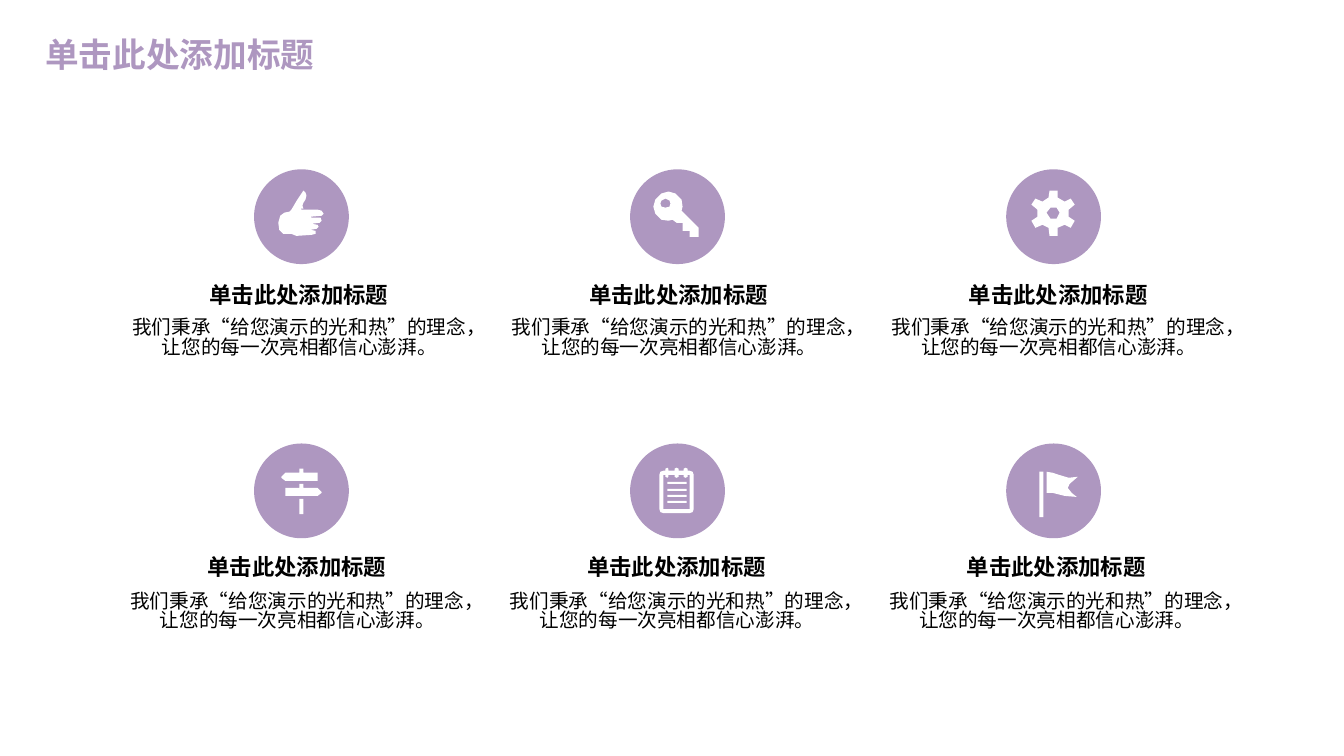
"""Build a slide with a title and six captioned icon discs."""
from lxml import etree
from pptx import Presentation
from pptx.dml import color
from pptx.enum import lang, shapes, text
from pptx.oxml import ns
from pptx.util import Inches, Pt

FONT = "Noto Sans CJK SC"
PURPLE, WHITE, BLACK = "AE97C0", "FFFFFF", "000000"
HEADING = "单击此处添加标题"
BODY = "我们秉承“给您演示的光和热”的理念，让您的每一次亮相都信心澎湃。"

# Outlines and bars are in hundredths of an inch from the disc's corner.
THUMB = [(57, 54), (65, 53), (67, 51), (66, 48), (57, 48), (56, 47), (67, 46),
         (69, 44), (67, 41), (63, 40), (47, 40), (46, 39), (49, 39), (48, 36),
         (49, 33), (51, 30), (52, 26), (51, 23), (49, 21), (43, 30), (37, 40),
         (35, 42), (30, 43), (26, 46), (24, 53), (25, 60), (29, 64), (37, 64),
         (42, 66), (57, 65), (61, 64), (61, 61), (56, 60), (62, 59), (64, 57),
         (63, 55)]
KEY = [(52, 37), (51, 30), (45, 24), (38, 22), (31, 24), (25, 30), (23, 37),
       (25, 44), (31, 50), (38, 51), (42, 50), (46, 53), (52, 53), (52, 61),
       (59, 61), (59, 67), (68, 67), (68, 58), (51, 41)]
KEY_HOLE = [(35, 38), (31, 37), (30, 34), (31, 31), (35, 29), (39, 31),
            (40, 34), (39, 37)]
GEAR = [(62, 40), (68, 35), (64, 29), (58, 32), (51, 28), (51, 21), (43, 21),
        (42, 28), (36, 32), (29, 29), (25, 35), (31, 40), (31, 47), (25, 51),
        (29, 58), (36, 55), (42, 58), (43, 66), (51, 66), (51, 58), (58, 55),
        (64, 58), (68, 51), (62, 47)]
GEAR_HOLE = [(50, 49), (44, 49), (40, 43), (44, 38), (50, 38), (53, 43)]
SIGN_LEFT = [(45, 29), (31, 29), (27, 33), (27, 34), (31, 37), (63, 37),
             (63, 29), (49, 29), (49, 25), (45, 25)]
SIGN_RIGHT = [(45, 44), (31, 44), (31, 52), (63, 52), (67, 49), (67, 48),
              (63, 44), (49, 44), (49, 40), (45, 40)]
PAD = [(59, 27), (57, 27), (57, 25), (55, 24), (53, 25), (53, 27), (48, 27),
       (48, 25), (46, 24), (44, 25), (44, 27), (38, 27), (38, 25), (37, 24),
       (35, 25), (35, 27), (33, 27), (30, 28), (29, 31), (29, 65), (30, 68),
       (33, 69), (59, 69), (62, 68), (63, 65), (63, 31), (62, 28)]
PAPER = [(59, 65), (33, 65), (33, 31), (35, 31), (35, 33), (37, 34), (38, 33),
         (38, 31), (44, 31), (44, 33), (46, 34), (48, 33), (48, 31), (53, 31),
         (53, 33), (55, 34), (57, 33), (57, 31), (59, 31)]
FLAG = [(61, 44), (63, 40), (71, 33), (62, 34), (52, 31), (46, 29), (40, 28),
        (40, 49), (46, 49), (58, 52), (70, 53), (65, 49)]

ICONS = [
    ([[THUMB]], []),
    ([[KEY, KEY_HOLE]], []),
    ([[GEAR, GEAR_HOLE]], []),
    ([[SIGN_LEFT], [SIGN_RIGHT]], [(45, 55, 4, 15)]),
    ([[PAD, PAPER]], [(37, top, 19, 2) for top in (38, 45, 51, 57)]),
    ([[FLAG]], [(33, 28, 4, 45)]),
]


def paint(shape, fill):
    shape.shadow.inherit = False
    shape.fill.solid()
    shape.fill.fore_color.rgb = color.RGBColor.from_string(fill)
    shape.line.fill.background()


def write(shape, box, words, size, fill, bold, align, spacing):
    shape.left, shape.top, shape.width, shape.height = map(Inches, box)
    frame = shape.text_frame
    frame.word_wrap = True
    frame.auto_size = text.MSO_AUTO_SIZE.NONE
    frame.vertical_anchor = text.MSO_ANCHOR.TOP
    paragraph = frame.paragraphs[0]
    paragraph.alignment = align
    paragraph.line_spacing = spacing
    paragraph.space_before = Pt(0)
    run = paragraph.add_run()
    run.text = words
    run.font.size = Pt(size)
    run.font.bold = bold
    run.font.color.rgb = color.RGBColor.from_string(fill)
    run.font.name = FONT
    run.font.language_id = lang.MSO_LANGUAGE_ID.SIMPLIFIED_CHINESE
    etree.SubElement(run.font._element, ns.qn("a:ea"), typeface=FONT)


presentation = Presentation()
presentation.slide_width = Inches(13.33)
presentation.slide_height = Inches(7.5)
slide = presentation.slides.add_slide(presentation.slide_layouts[5])
write(slide.shapes.title, (0.35, 0.34, 3.05, 0.5), HEADING, 24, PURPLE, True,
      text.PP_ALIGN.LEFT, 0.88)

for index, (outlines, bars) in enumerate(ICONS):
    row, column = divmod(index, 3)
    left, top = 2.52 + 3.73 * column, 1.68 + 2.72 * row
    disc = slide.shapes.add_shape(shapes.MSO_SHAPE.OVAL, Inches(left),
                                  Inches(top), Inches(0.94), Inches(0.94))
    paint(disc, PURPLE)

    for contours in outlines:
        builder = slide.shapes.build_freeform(*contours[0][0], scale=Inches(0.01))
        builder.add_line_segments(contours[0][1:], close=True)
        for hole in contours[1:]:
            builder.move_to(*hole[0])
            builder.add_line_segments(hole[1:], close=True)
        paint(builder.convert_to_shape(Inches(left), Inches(top)), WHITE)

    for x, y, width, height in bars:
        bar = slide.shapes.add_shape(
            shapes.MSO_SHAPE.RECTANGLE, Inches(left + x / 100),
            Inches(top + y / 100), Inches(width / 100), Inches(height / 100))
        paint(bar, WHITE)

    text_left = 1.13 + 3.765 * column - 0.02 * row
    body = slide.shapes.add_textbox(0, 0, 0, 0)
    write(body, (text_left, 3.11 + 2.71 * row, 3.68, 0.57), BODY, 14, BLACK,
          False, text.PP_ALIGN.CENTER, 0.82)
    body.text_frame.margin_top = Inches(0.06)
    heading = slide.shapes.add_textbox(0, 0, 0, 0)
    write(heading, (text_left + 0.29, 2.78 + 2.7 * row, 3.09, 0.37), HEADING,
          16, BLACK, True, text.PP_ALIGN.CENTER, 0.85)

presentation.save("out.pptx")
